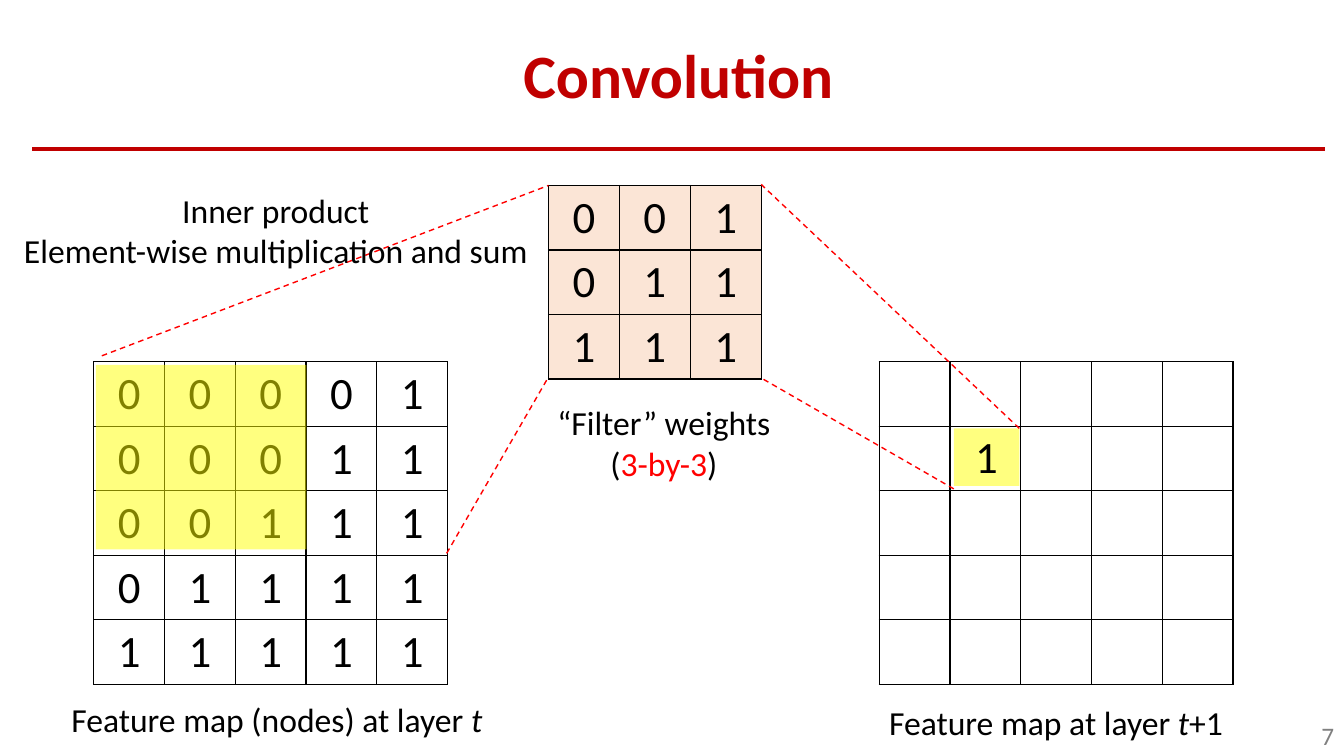
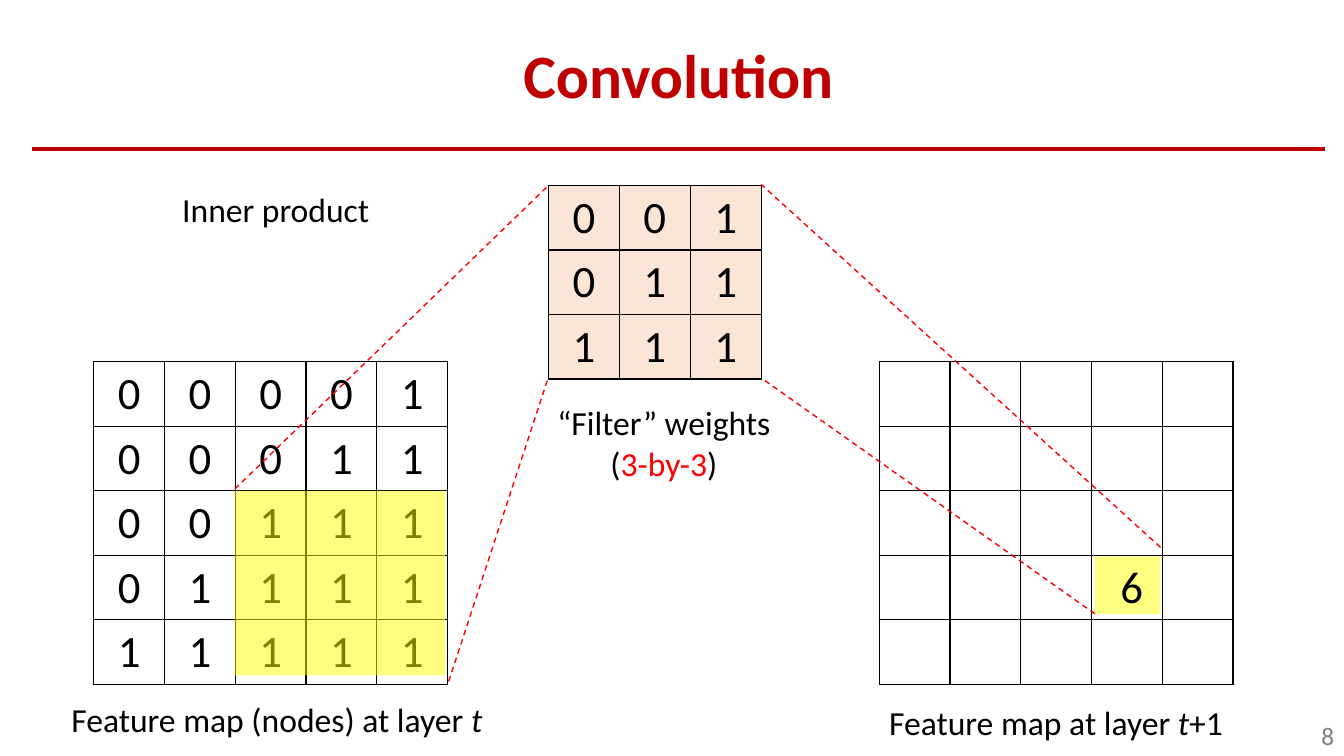
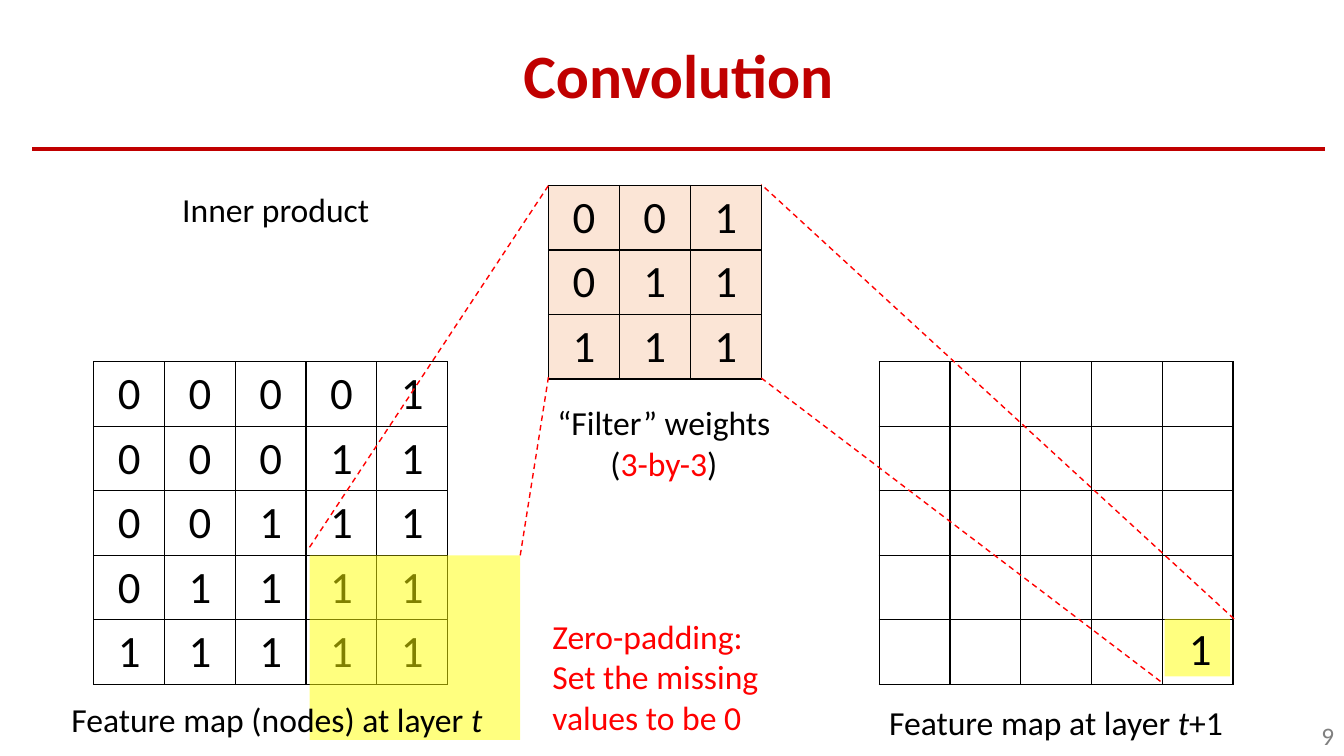
from dataclasses import dataclass

from lxml.etree import SubElement
from pptx import Presentation
from pptx.dml.color import RGBColor
from pptx.enum.dml import MSO_LINE
from pptx.enum.shapes import MSO_CONNECTOR, MSO_SHAPE
from pptx.enum.text import MSO_ANCHOR, MSO_AUTO_SIZE, PP_ALIGN
from pptx.oxml.ns import qn
from pptx.util import Inches, Pt


@dataclass(frozen=True)
class Theme:
    """Colours, font and type sizes of the deck."""
    font: str = "Calibri"
    title_color: str = "C00000"
    ink: str = "000000"
    accent: str = "FF0000"
    marker: str = "FFFF00"
    filter_fill: str = "FBE5D6"
    muted: str = "808080"
    title: int = 44
    digit: int = 32
    body: int = 24
    number: int = 18


@dataclass(frozen=True)
class Step:
    """One position of the filter: highlights, result and projection ends."""
    note: tuple
    window: tuple
    output: tuple
    value: str
    value_at: tuple
    ends: tuple
    remark: str = ""


THEME = Theme()
ROW = 0.64
FEATURES = ["00001", "00011", "00111", "01111", "11111"]
EMPTY = [[""] * 5] * 5
WEIGHTS = ["001", "011", "111"]
FILTER_CORNERS = ((5.44, 1.84), (5.44, 3.74), (7.55, 1.83), (7.55, 3.75))
STEPS = [
    Step(("Inner product", "Element-wise multiplication and sum"),
         (0.95, 3.62), (9.46, 4.25), "1", (9.46, 4.23),
         ((1.01, 3.53), (4.43, 5.49), (10.11, 4.25), (9.46, 4.85))),
    Step(("Inner product",),
         (2.33, 4.87), (10.86, 5.52), "6", (10.9, 5.52),
         ((2.33, 4.85), (4.45, 6.76), (11.51, 5.43), (10.86, 6.09))),
    Step(("Inner product",),
         (3.07, 5.51), (11.55, 6.14), "1", (11.58, 6.14),
         ((3.07, 5.43), (5.16, 5.51), (12.24, 6.14), (11.51, 6.76)),
         "Zero-padding: Set the missing values to be 0"),
]


def rgb(color):
    """Turn a hex string into a colour."""
    return RGBColor.from_string(color)


def write(tf, *paragraphs, size=THEME.body, color=THEME.ink, bold=False,
          align=PP_ALIGN.LEFT, anchor=MSO_ANCHOR.TOP, spacing=None):
    """Fill a text frame; a paragraph is a string or (text, format) pairs."""
    tf.word_wrap = True
    tf.vertical_anchor = anchor
    for i, runs in enumerate(paragraphs):
        p = tf.add_paragraph() if i else tf.paragraphs[0]
        p.alignment = align
        p.line_spacing = spacing
        for text, fmt in [(runs, {})] if isinstance(runs, str) else runs:
            r = p.add_run()
            r.text = text
            r.font.name = THEME.font
            r.font.size = Pt(size)
            r.font.bold = bold
            r.font.italic = fmt.get("italic", False)
            r.font.color.rgb = rgb(fmt.get("color", color))


class Deck:
    """The presentation, its style and the current slide."""

    def __init__(self, theme):
        """Start an empty widescreen presentation."""
        self.theme = theme
        self.prs = Presentation()
        self.prs.slide_width, self.prs.slide_height = Inches(13.33), Inches(7.5)
        self.s = None

    def slide(self, title, number):
        """Add a slide with title, rule and slide number."""
        t = self.theme
        self.s = self.prs.slides.add_slide(self.prs.slide_layouts[5])
        self.line((0.32, 1.48), (13.14, 1.48), t.title_color, 2.5)
        sp = self.s.shapes.title
        sp.left, sp.top, sp.width, sp.height = map(Inches, (0.32, 0.28, 12.82, 1))
        sp.text_frame.auto_size = MSO_AUTO_SIZE.NONE
        write(sp.text_frame, title, size=t.title, color=t.title_color, bold=True,
              align=PP_ALIGN.CENTER, anchor=MSO_ANCHOR.MIDDLE, spacing=0.9)
        self.text((12.62, 7.1, 0.71, 0.4), str(number), size=t.number,
                  color=t.muted, align=PP_ALIGN.RIGHT, anchor=MSO_ANCHOR.MIDDLE)

    def text(self, box, *paragraphs, **fmt):
        """Add a text box."""
        sp = self.s.shapes.add_textbox(*map(Inches, box))
        write(sp.text_frame, *paragraphs, **fmt)

    def line(self, start, end, color, width, dash=None):
        """Add a straight line."""
        sp = self.s.shapes.add_connector(
            MSO_CONNECTOR.STRAIGHT, *map(Inches, start + end))
        sp.line.color.rgb = rgb(color)
        sp.line.width = Pt(width)
        if dash:
            sp.line.dash_style = dash
        SubElement(sp.element.spPr, qn("a:effectLst"))

    def highlight(self, at, size):
        """Add a half-transparent marker rectangle."""
        sp = self.s.shapes.add_shape(MSO_SHAPE.RECTANGLE, *map(Inches, at + size))
        sp.shadow.inherit = False
        sp.line.fill.background()
        sp.fill.solid()
        sp.fill.fore_color.rgb = rgb(self.theme.marker)
        color = sp.element.spPr.find(qn("a:solidFill"))[0]
        SubElement(color, qn("a:alpha"), val="50000")

    def grid(self, at, width, rows, row_height, fill=None):
        """Add a ruled table of single digits."""
        count = len(rows[0])
        table = self.s.shapes.add_table(
            len(rows), count, *map(Inches, at), Inches(width),
            Inches(row_height * len(rows))).table
        table.first_row = table.horz_banding = False
        for i, row in enumerate(rows):
            for j, digit in enumerate(row):
                self.cell(table.cell(i, j), digit, fill)

    def cell(self, cell, digit, fill):
        """Format one table cell."""
        tc_pr = cell._tc.get_or_add_tcPr()
        for side in ("lnL", "lnR", "lnT", "lnB"):
            ln = SubElement(tc_pr, qn(f"a:{side}"), w=str(Pt(1)))
            solid = SubElement(ln, qn("a:solidFill"))
            SubElement(solid, qn("a:srgbClr"), val=self.theme.ink)
        if fill:
            cell.fill.solid()
            cell.fill.fore_color.rgb = rgb(fill)
        else:
            cell.fill.background()
        if digit:
            write(cell.text_frame, digit, size=self.theme.digit,
                  align=PP_ALIGN.CENTER)

    def convolution(self, step, number):
        """Add the slide that shows one filter position."""
        t = self.theme
        self.slide("Convolution", number)
        self.grid((0.93, 3.59), 3.51, FEATURES, ROW)
        self.grid((8.72, 3.59), 3.51, EMPTY, ROW)
        self.grid((5.44, 1.84), 2.11, WEIGHTS, ROW, t.filter_fill)
        self.text((5.31, 3.94, 2.55, 0.91), "“Filter” weights",
                  [("(", {}), ("3-by-3", {"color": t.accent}), (")", {})],
                  align=PP_ALIGN.CENTER)
        self.highlight(step.output, (0.65, 0.57))
        self.highlight(step.window, (2.09, 1.83))
        for end, corner in zip(step.ends, FILTER_CORNERS):
            self.line(end, corner, t.accent, 1, MSO_LINE.DASH)
        self.text((0.03, 1.83, 5.41, 0.5 if len(step.note) == 1 else 0.91),
                  *step.note, align=PP_ALIGN.CENTER)
        self.text(step.value_at + (0.65, 0.57), step.value, size=t.digit,
                  align=PP_ALIGN.CENTER, anchor=MSO_ANCHOR.MIDDLE)
        if step.remark:
            self.text((5.38, 6.06, 2.54, 1.31), step.remark, color=t.accent)
        layer = ("t", {"italic": True})
        self.text((0.61, 6.88, 4.87, 0.5),
                  [("Feature map (nodes) at layer ", {}), layer])
        self.text((8.72, 6.91, 3.51, 0.5),
                  [("Feature map at layer ", {}), layer, ("+1", {})])


def main():
    """Build and save the deck."""
    deck = Deck(THEME)
    for number, step in enumerate(STEPS, start=7):
        deck.convolution(step, number)
    deck.prs.save("out.pptx")


if __name__ == "__main__":
    main()
